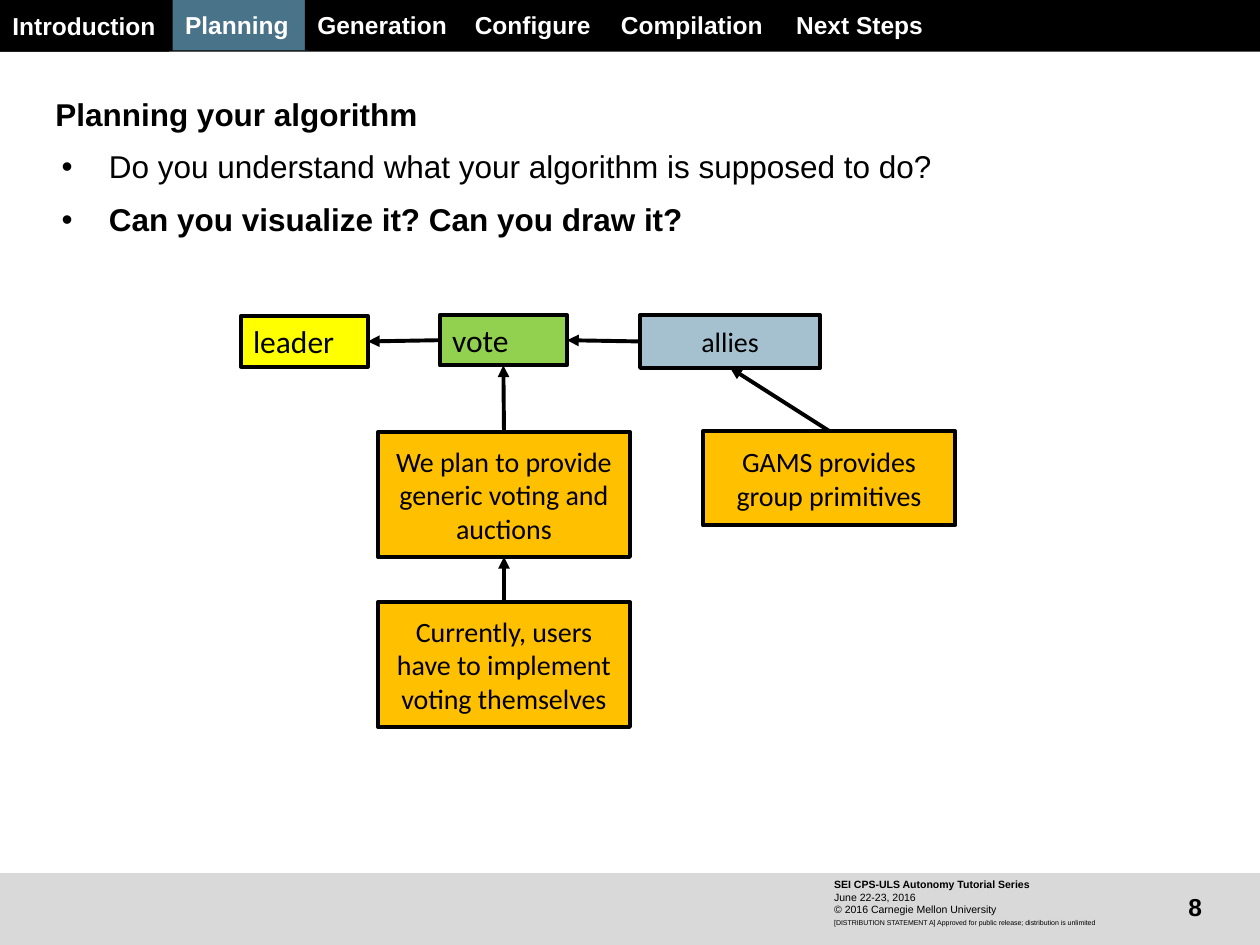
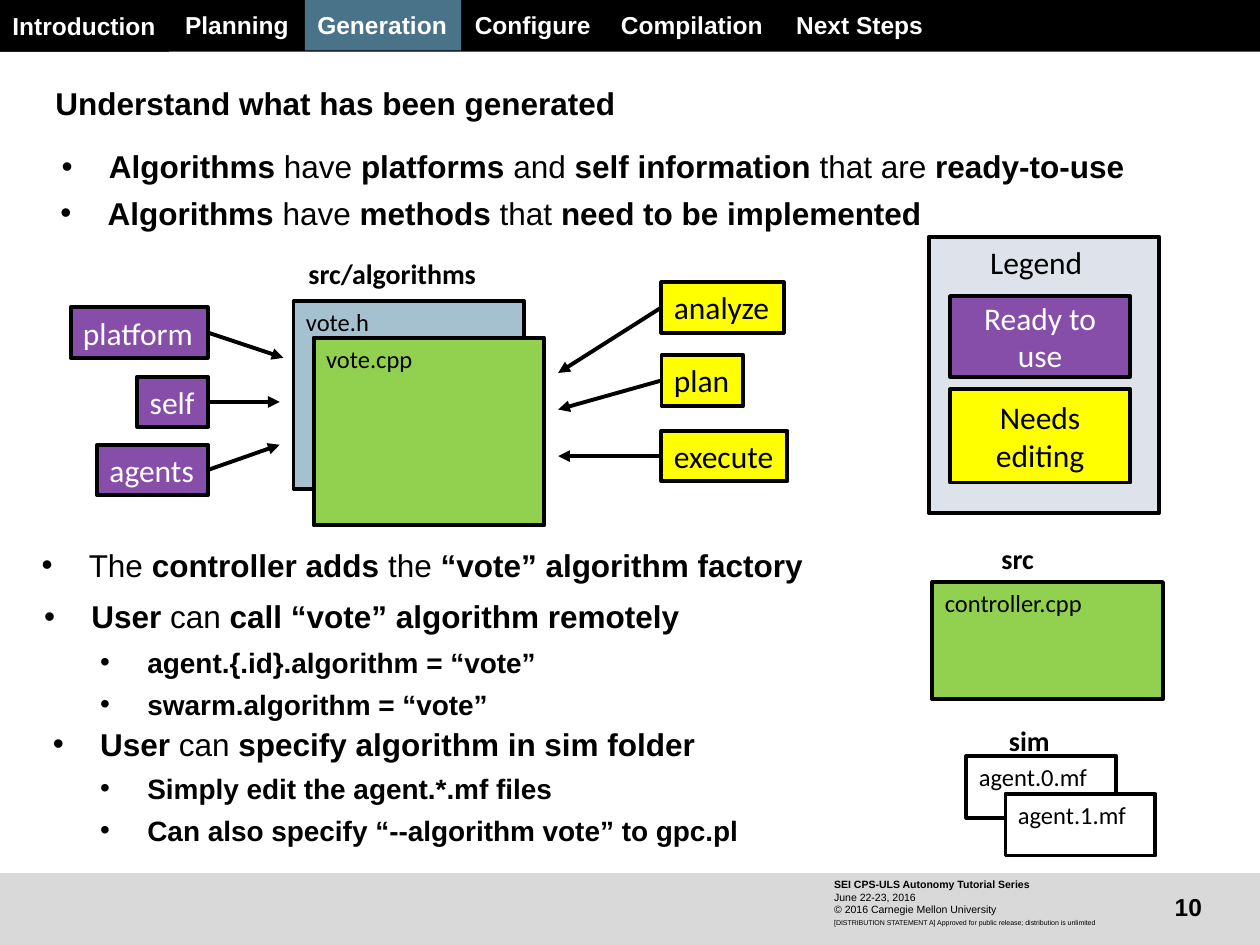
"""Build two tutorial slides on planning and generating algorithms."""
from lxml.etree import SubElement
from pptx import Presentation
from pptx.dml.color import RGBColor
from pptx.enum.shapes import MSO_CONNECTOR, MSO_SHAPE
from pptx.enum.text import MSO_ANCHOR, MSO_AUTO_SIZE, PP_ALIGN
from pptx.oxml.ns import qn
from pptx.util import Inches, Pt

COLOURS = {
    "black": "000000", "white": "FFFFFF", "band": "D9D9D9", "active": "497389",
    "yellow": "FFFF00", "green": "92D050", "blue": "A5C1CF", "orange": "FFC000",
    "purple": "874EA9", "legend": "DEE3EB",
}
NAVIGATION = [
    ("Introduction", 0, 0, 1.34), ("Planning", 1.37, -0.01, 1.08),
    ("Generation", 2.42, -0.01, 1.24), ("Configure", 3.67, -0.01, 1.13),
    ("Compilation", 4.83, -0.01, 1.33), ("Next Steps", 6.22, -0.01, 1.69),
]
HEADING = {"name": "Arial", "size": Pt(18), "bold": True}
NAV_FONT = {"name": "Arial", "size": Pt(14), "bold": True}
FOOTER_FONT = {"name": "Arial", "size": Pt(6), "bold": False}
STATEMENT_FONT = {"name": "Arial", "size": Pt(4), "bold": False}
TAG_FONT = {"name": "Calibri", "size": Pt(18), "bold": False}
NOTE_FONT = {"name": "Calibri", "size": Pt(16), "bold": False}
FOLDER_FONT = {"name": "Calibri", "size": Pt(16), "bold": True}
FILE_FONT = {"name": "Calibri", "size": Pt(14), "bold": False}
BULLET_SIZES = [18, 16]
BULLET_SPACES = [10, 5]
CENTRED = {"align": PP_ALIGN.CENTER, "anchor": MSO_ANCHOR.MIDDLE}
TOP, LEFT, BOTTOM, RIGHT = range(4)


def colour(name):
    """Return the named colour."""
    return RGBColor.from_string(COLOURS[name])


def style(font, values, ink="black"):
    """Apply format values and a colour to a font."""
    for name, value in values.items():
        setattr(font, name, value)
    font.color.rgb = colour(ink)


def set_frame(frame, anchor=MSO_ANCHOR.TOP, wrap=True, margin=None):
    """Set anchor, wrapping and, if given, one margin for all sides."""
    values = {"auto_size": MSO_AUTO_SIZE.NONE, "word_wrap": wrap, "vertical_anchor": anchor}
    if margin is not None:
        for side in ("left", "top", "right", "bottom"):
            values[f"margin_{side}"] = Inches(margin)
    for name, value in values.items():
        setattr(frame, name, value)


def write(frame, text, font, ink="black", align=PP_ALIGN.LEFT):
    """Write one styled paragraph into a frame."""
    para = frame.paragraphs[0]
    para.alignment = align
    span = para.add_run()
    span.text = text
    style(span.font, font, ink)


def add_box(page, place, fill, text="", font=FILE_FONT, ink="black", outlined=True,
            align=PP_ALIGN.LEFT, anchor=MSO_ANCHOR.TOP, wrap=True):
    """Add a filled rectangle with optional text."""
    box = page.shapes.add_shape(MSO_SHAPE.RECTANGLE, *map(Inches, place))
    box.shadow.inherit = False
    box.fill.solid()
    box.fill.fore_color.rgb = colour(fill)
    if outlined:
        box.line.color.rgb = colour("black")
        box.line.width = Pt(2.25)
    else:
        box.line.fill.background()
    if text:
        set_frame(box.text_frame, anchor, wrap)
        write(box.text_frame, text, font, ink, align)
    return box


def add_text(page, place, text, font, align=PP_ALIGN.LEFT, **frame_values):
    """Add a plain text box."""
    box = page.shapes.add_textbox(*map(Inches, place))
    set_frame(box.text_frame, **frame_values)
    write(box.text_frame, text, font, align=align)
    return box


def add_bullets(page, place, items):
    """Add bullets given as (level, text); bars in the text switch bold on and off."""
    box = page.shapes.add_textbox(*map(Inches, place))
    frame = box.text_frame
    set_frame(frame, margin=0)
    for index, (level, text) in enumerate(items):
        para = frame.add_paragraph() if index else frame.paragraphs[0]
        para.level = level
        para.space_before = Pt(BULLET_SPACES[level] if index else 0)
        properties = para._p.get_or_add_pPr()
        properties.set("marL", str(Inches(0.375 * (level + 1))))
        properties.set("indent", str(-Inches(0.375)))
        SubElement(properties, qn("a:buFont")).set("typeface", "Arial")
        SubElement(properties, qn("a:buChar")).set("char", "•")
        for part, words in enumerate(text.split("|")):
            if words:
                span = para.add_run()
                span.text = words
                size = Pt(BULLET_SIZES[level])
                style(span.font, {"name": "Arial", "size": size, "bold": part % 2 == 1})


def add_arrow(page, start=(0, 0), end=(0, 0)):
    """Add an arrow that points at its end."""
    arrow = page.shapes.add_connector(MSO_CONNECTOR.STRAIGHT, *map(Inches, (*start, *end)))
    arrow.line.color.rgb = colour("black")
    arrow.line.width = Pt(2.25)
    SubElement(arrow.line._get_or_add_ln(), qn("a:tailEnd")).set("type", "triangle")
    SubElement(arrow._element.spPr, qn("a:effectLst"))
    return arrow


def link(page, source, source_side, target, target_side):
    """Connect two boxes with an arrow."""
    arrow = add_arrow(page)
    arrow.begin_connect(source, source_side)
    arrow.end_connect(target, target_side)


def add_footer(page, number):
    """Add the grey band with series details and page number."""
    add_box(page, (0, 6.93, 10, 0.57), "band", outlined=False)
    add_text(page, (8.98, 7, 0.56, 0.4), number, NAV_FONT, PP_ALIGN.RIGHT,
             anchor=MSO_ANCHOR.MIDDLE, margin=0)
    details = add_text(page, (6.62, 6.97, 2.29, 0.3), "SEI CPS-ULS Autonomy Tutorial Series",
                       {**FOOTER_FONT, "bold": True}, margin=0)
    for line in ("June 22-23, 2016", "© 2016 Carnegie Mellon University"):
        span = details.text_frame.add_paragraph().add_run()
        span.text = line
        style(span.font, FOOTER_FONT)
    add_text(page, (6.62, 7.29, 2.29, 0.07),
             "[DISTRIBUTION STATEMENT A] Approved for public release; distribution is unlimited",
             STATEMENT_FONT, margin=0)


def add_navigation(page, active):
    """Add the top bar with the active section highlighted."""
    add_box(page, (0, 0, 10, 0.41), "black", outlined=False)
    for section, left, top, width in NAVIGATION:
        add_box(page, (left, top, width, 0.41), "active" if section == active else "black",
                section, NAV_FONT, "white", outlined=False, anchor=MSO_ANCHOR.MIDDLE, wrap=False)


def add_page(deck, title, title_top, section, number):
    """Add a slide with title, navigation and footer."""
    page = deck.slides.add_slide(deck.slide_layouts[5])
    heading = page.shapes.title
    places = zip(("left", "top", "width", "height"), (0.44, title_top, 9.1, 0.38))
    for name, value in places:
        setattr(heading, name, Inches(value))
    set_frame(heading.text_frame, margin=0)
    write(heading.text_frame, title, HEADING)
    add_footer(page, number)
    add_navigation(page, section)
    return page


def build_planning(deck):
    """Build the slide that draws the planned algorithm."""
    page = add_page(deck, "Planning your algorithm", 0.75, "Planning", "8")
    questions = ("Do you understand what your algorithm is supposed to do?",
                 "|Can you visualize it? Can you draw it?|")
    for row, question in enumerate(questions):
        add_bullets(page, (0.49, 1.17 + 0.42 * row, 9.1, 0.42), [(0, question)])
    leader = add_box(page, (1.91, 2.51, 1.01, 0.4), "yellow", "leader", TAG_FONT)
    vote = add_box(page, (3.49, 2.5, 1.01, 0.4), "green", "vote", TAG_FONT)
    allies = add_box(page, (5.08, 2.5, 1.43, 0.42), "blue", "allies", NOTE_FONT, **CENTRED)
    primitives = add_box(page, (5.58, 3.42, 2, 0.75), "orange",
                         "GAMS provides group primitives", NOTE_FONT, **CENTRED)
    plan = add_box(page, (3, 3.43, 2, 0.99), "orange",
                   "We plan to provide generic voting and auctions", NOTE_FONT, **CENTRED)
    current = add_box(page, (3, 4.78, 2, 0.99), "orange",
                      "Currently, users have to implement voting themselves", NOTE_FONT, **CENTRED)
    link(page, allies, LEFT, vote, RIGHT)
    link(page, vote, LEFT, leader, RIGHT)
    for source, target in ((primitives, allies), (plan, vote), (current, plan)):
        link(page, source, TOP, target, BOTTOM)


def add_folder(page, place, name):
    """Add the name of a folder above its files."""
    add_text(page, place, name, FOLDER_FONT, wrap=False)


def add_members(page):
    """Add the algorithm files with their members and arrows."""
    add_folder(page, (2.35, 1.99, 1.56, 0.37), "src/algorithms")
    add_box(page, (2.33, 2.39, 1.83, 1.49), "blue", "vote.h")
    add_box(page, (2.49, 2.68, 1.83, 1.49), "green", "vote.cpp")
    ready = [("platform", 2.44, 1.09, 2.25, 2.84), ("self", 2.99, 0.56, 2.22, 3.19),
             ("agents", 3.53, 0.88, 2.22, 3.53)]
    for name, top, width, tip_x, tip_y in ready:
        add_box(page, (1.65 - width, top, width, 0.4), "purple", name, TAG_FONT, "white", wrap=False)
        add_arrow(page, (1.65, top + 0.2), (tip_x, tip_y))
    editable = [("analyze", 2.24, 0.97, 2.96), ("plan", 2.82, 0.65, 3.25),
                ("execute", 3.42, 1, 3.62)]
    for name, top, width, tip_y in editable:
        add_box(page, (5.25, top, width, 0.4), "yellow", name, TAG_FONT, wrap=False)
        add_arrow(page, (5.25, top + 0.2), (4.43, tip_y))


def add_legend(page):
    """Add the legend panel."""
    add_box(page, (7.37, 1.88, 1.83, 2.19), "legend")
    add_text(page, (7.76, 1.88, 0.94, 0.4), "Legend", TAG_FONT, wrap=False)
    add_box(page, (7.54, 2.35, 1.43, 0.64), "purple", "Ready to use", TAG_FONT, "white", **CENTRED)
    add_box(page, (7.54, 3.09, 1.43, 0.74), "yellow", "Needs editing", TAG_FONT, **CENTRED)


def build_generation(deck):
    """Build the slide that explains the generated files."""
    page = add_page(deck, "Understand what has been generated", 0.67, "Generation", "10")
    add_members(page)
    add_legend(page)
    add_folder(page, (7.85, 4.25, 0.47, 0.37), "src")
    add_box(page, (7.4, 4.62, 1.83, 0.93), "green", "controller.cpp")
    add_folder(page, (7.91, 5.69, 0.54, 0.37), "sim")
    for index in range(2):
        place = (7.67 + 0.31 * index, 6 + 0.3 * index, 1.19, 0.49)
        add_box(page, place, "white", f"agent.{index}.mf")
    bullet_groups = [
        ((0.49, 1.17, 9.1, 0.38),
         [(0, "|Algorithms| have |platforms| and |self information |that are |ready-to-use|")]),
        ((0.48, 1.54, 9.1, 0.38),
         [(0, "|Algorithms| have |methods| that |need to be implemented|")]),
        ((0.33, 4.33, 6.67, 0.38),
         [(0, "The| controller adds |the| “vote” algorithm factory|")]),
        ((0.35, 4.74, 6.67, 0.38),
         [(0, "|User |can| call “vote” algorithm remotely|")]),
        ((0.42, 5.12, 6.67, 0.78),
         [(1, "|agent.{.id}.algorithm = “vote”|"), (1, "|swarm.algorithm = “vote”|")]),
        ((0.42, 5.75, 6.67, 0.98),
         [(0, "|User |can| specify algorithm in sim folder|"),
          (1, "|Simply edit the agent.*.mf files|"),
          (1, "|Can also specify “--algorithm vote” to gpc.pl|")]),
    ]
    for place, items in bullet_groups:
        add_bullets(page, place, items)


def main():
    """Create and save the deck."""
    deck = Presentation()
    deck.slide_width, deck.slide_height = Inches(10), Inches(7.5)
    build_planning(deck)
    build_generation(deck)
    deck.save("out.pptx")


if __name__ == "__main__":
    main()
